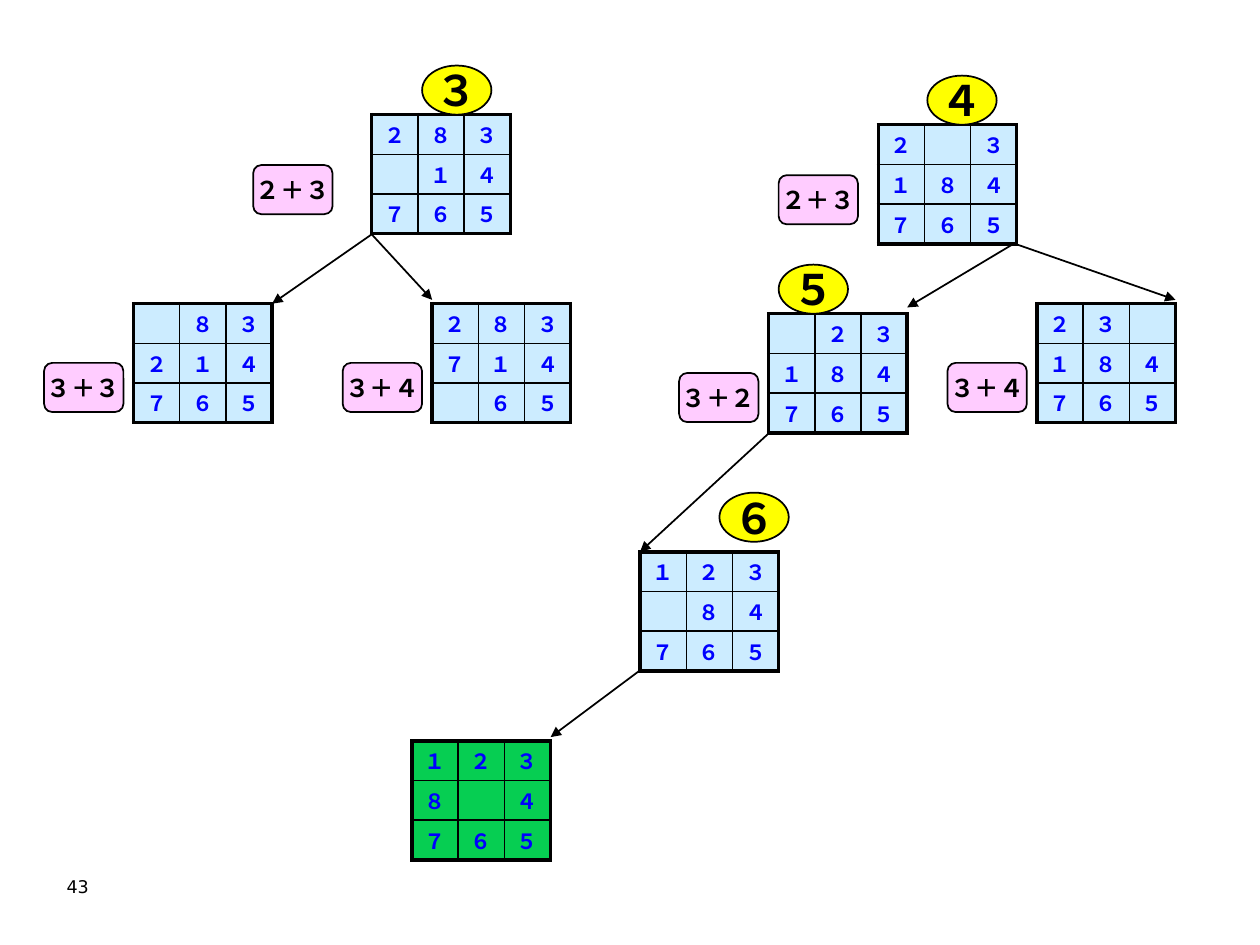
from lxml.etree import SubElement
from pptx import Presentation
from pptx.dml.color import RGBColor
from pptx.enum.shapes import MSO_CONNECTOR, MSO_SHAPE
from pptx.enum.text import MSO_ANCHOR, PP_ALIGN
from pptx.oxml import parse_xml
from pptx.oxml.ns import nsdecls, qn
from pptx.util import Inches, Pt

BLACK, BLUE = "000000", "0000FF"
PALE_BLUE, GREEN, PINK, YELLOW = "CCECFF", "06CE52", "FFCCFF", "FFFF00"
BOARD_WIDTH, BOARD_HEIGHT = 1.1, 0.945
OUTER_LINE, INNER_LINE = 2.25, 1

BOARDS = [
    (2.95, 0.91, "２８３ １４７６５", PALE_BLUE),
    (6.97, 0.99, "２ ３１８４７６５", PALE_BLUE),
    (1.06, 2.41, " ８３２１４７６５", PALE_BLUE),
    (3.43, 2.41, "２８３７１４ ６５", PALE_BLUE),
    (6.1, 2.49, " ２３１８４７６５", PALE_BLUE),
    (8.23, 2.41, "２３ １８４７６５", PALE_BLUE),
    (5.08, 4.38, "１２３ ８４７６５", PALE_BLUE),
    (3.27, 5.88, "１２３８ ４７６５", GREEN),
]
COSTS = [
    (2.01, 1.31, "２＋３"),
    (6.18, 1.39, "２＋３"),
    (0.35, 2.88, "３＋３"),
    (2.72, 2.88, "３＋４"),
    (5.39, 2.96, "３＋２"),
    (7.52, 2.88, "３＋４"),
]
STEPS = [
    (3.35, 0.52, "３"),
    (7.36, 0.6, "４"),
    (6.18, 2.1, "５"),
    (5.71, 3.91, "６"),
]
MOVES = [
    (2.95, 1.86, 2.16, 2.41),
    (2.95, 1.86, 3.43, 2.38),
    (8.07, 1.92, 7.2, 2.44),
    (8.07, 1.94, 9.33, 2.38),
    (6.1, 3.44, 5.08, 4.38),
    (5.08, 5.32, 4.37, 5.85),
]


def rgb(value):
    return RGBColor.from_string(value)


def write(paragraph, text, font_name, size, color, bold=True, align=PP_ALIGN.CENTER):
    paragraph.text = text
    paragraph.alignment = align
    font = paragraph.font
    font.name, font.size, font.bold = font_name, Pt(size), bold
    font.color.rgb = rgb(color)


def set_borders(cell, row, column):
    widths = {
        "L": OUTER_LINE if column == 0 else INNER_LINE,
        "R": OUTER_LINE if column == 2 else INNER_LINE,
        "T": OUTER_LINE if row == 0 else INNER_LINE,
        "B": OUTER_LINE if row == 2 else INNER_LINE,
    }
    properties = cell._tc.get_or_add_tcPr()
    for position, (side, width) in enumerate(widths.items()):
        border = parse_xml(
            f'<a:ln{side} {nsdecls("a")} w="{Pt(width)}"><a:solidFill>'
            f'<a:srgbClr val="{BLACK}"/></a:solidFill></a:ln{side}>'
        )
        properties.insert(position, border)


def add_board(slide, left, top, tiles, fill):
    board = slide.shapes.add_table(
        3, 3, Inches(left), Inches(top), Inches(BOARD_WIDTH), Inches(BOARD_HEIGHT)
    ).table
    board.first_row = board.horz_banding = False
    for index, tile in enumerate(tiles):
        row, column = divmod(index, 3)
        cell = board.cell(row, column)
        cell.margin_top = cell.margin_bottom = 0
        cell.vertical_anchor = MSO_ANCHOR.MIDDLE
        cell.fill.solid()
        cell.fill.fore_color.rgb = rgb(fill)
        set_borders(cell, row, column)
        paragraph = cell.text_frame.paragraphs[0]
        write(paragraph, tile.strip(), "DejaVu Sans", 12, BLUE)
        paragraph.space_before = Pt(2.4)


def add_label(slide, kind, left, top, width, text, size, fill):
    label = slide.shapes.add_shape(
        kind, Inches(left), Inches(top), Inches(width), Inches(0.39)
    )
    label.shadow.inherit = False
    label.fill.solid()
    label.fill.fore_color.rgb = rgb(fill)
    label.line.color.rgb = rgb(BLACK)
    label.line.width = Pt(1)
    frame = label.text_frame
    frame.word_wrap = False
    frame.vertical_anchor = MSO_ANCHOR.MIDDLE
    write(frame.paragraphs[0], text, "Arial", size, BLACK)


def add_move(slide, *ends):
    move = slide.shapes.add_connector(
        MSO_CONNECTOR.STRAIGHT, *(Inches(end) for end in ends)
    )
    move.line.color.rgb = rgb(BLACK)
    move.line.width = Pt(1)
    SubElement(move.line._get_or_add_ln(), qn("a:tailEnd"), type="triangle")
    SubElement(move._element.spPr, qn("a:effectLst"))


def add_page_number(slide, number):
    frame = slide.shapes.add_textbox(
        Inches(0.43), Inches(6.9), Inches(2.33), Inches(0.27)
    ).text_frame
    frame.word_wrap = True
    write(frame.paragraphs[0], number, "DejaVu Sans", 10, BLACK, False, PP_ALIGN.LEFT)


def main():
    deck = Presentation()
    deck.slide_width, deck.slide_height = Inches(10), Inches(7.5)
    slide = deck.slides.add_slide(deck.slide_layouts[6])
    add_page_number(slide, "43")
    for board in BOARDS:
        add_board(slide, *board)
    for left, top, cost in COSTS:
        add_label(
            slide, MSO_SHAPE.FLOWCHART_ALTERNATE_PROCESS,
            left, top, 0.63, cost, 14, PINK,
        )
    for left, top, step in STEPS:
        add_label(slide, MSO_SHAPE.OVAL, left, top, 0.55, step, 24, YELLOW)
    for move in MOVES:
        add_move(slide, *move)
    deck.save("out.pptx")


if __name__ == "__main__":
    main()
